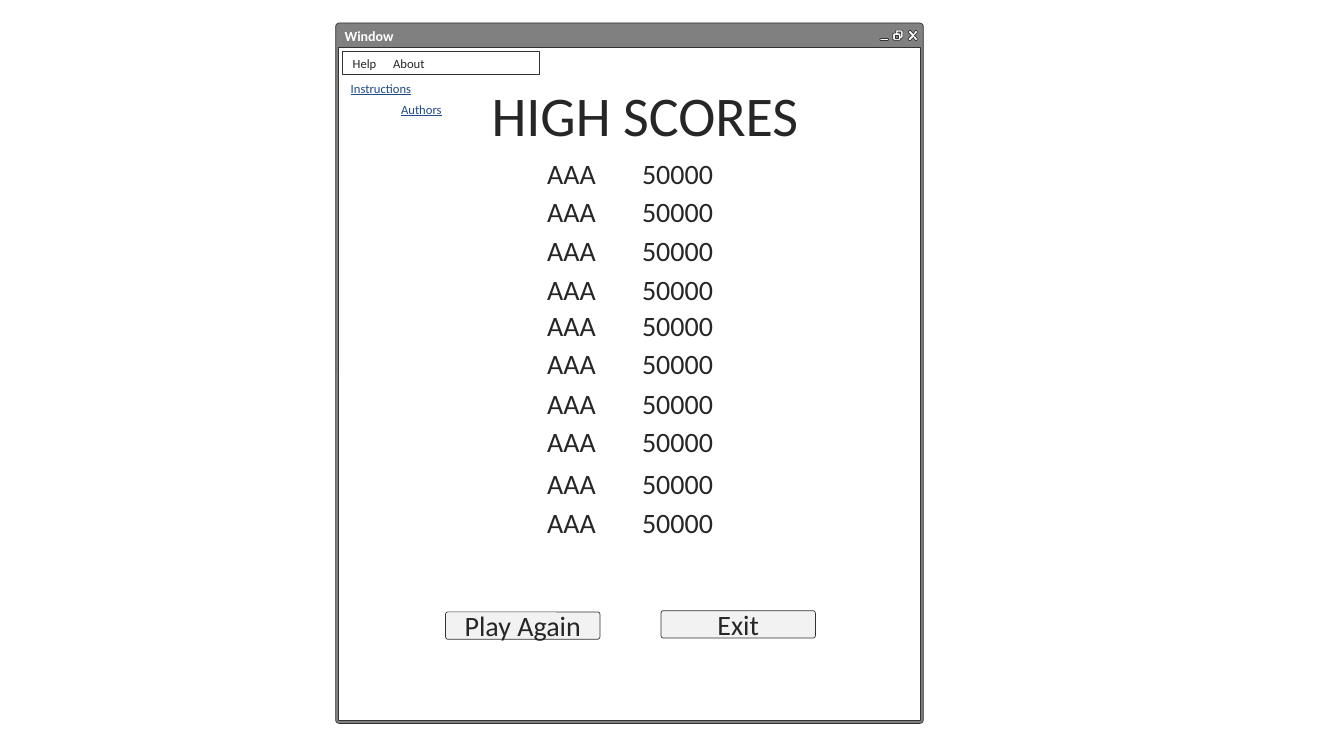
from pptx import Presentation, util as u
from pptx.dml.color import RGBColor
from pptx.enum import shapes, text
from pptx.oxml.ns import qn
from lxml import etree

Cm = u.Cm
KIND, ANCHOR, ALIGN = shapes.MSO_SHAPE, text.MSO_ANCHOR, text.PP_ALIGN

THEME = dict(
    font="Calibri", ink="262626", white="FFFFFF", frame="808080",
    edge="333333", face="F2F2F2", link="204A87",
    title=40, body=20, bar=10, menu=9, line=0.5,
)

# Content; every box is left, top, width, height in cm
TITLE = ("HIGH SCORES", (12.19, 1.93, 8.31, 1.88))
SCORES = [("AAA", "50000")] * 10
PAIRS = [3.84, 5.79, 7.67, 9.63, 11.66]
STEP = 0.97
COLS = [(13.59, 1.7, True), (15.98, 2.21, False)]
BUTTONS = [("Play Again", (11.23, 15.42, 3.89, 0.69)),
           ("Exit", (16.66, 15.39, 3.89, 0.69))]
MENU = ("Help\tAbout", (8.64, 1.3, 4.95, 0.58))
TAB = 1.02
LINKS = [("Instructions", (8.64, 1.93, 1.96, 0.56)),
         ("Authors", (9.91, 2.46, 1.45, 0.56))]
FRAME = ("Window", (8.46, 0.58, 14.81, 17.65))
PANE = (8.53, 1.19, 14.66, 16.97)

# Title bar icons: left and top in cm, then outlines on a fine grid
GRID = 0.0254
ICONS = [
    (22.89, 0.77, [[(0, 1), (0, 2), (3, 5), (0, 8), (0, 9), (1, 10), (2, 10),
                    (5, 7), (7, 10), (8, 10), (9, 9), (9, 8), (6, 5), (9, 2),
                    (9, 1), (8, 0), (7, 0), (5, 3), (2, 0), (1, 0)]]),
    (22.5, 0.76, [[(3, 0), (9, 0), (10, 1), (10, 7), (9, 8), (8, 8), (8, 9),
                   (7, 10), (1, 10), (0, 9), (0, 4), (1, 3), (3, 3), (3, 1)],
                  [(5, 2), (8, 2), (8, 6), (8, 4), (7, 3), (5, 3)],
                  [(3, 5), (6, 5), (6, 8), (3, 8)]]),
    (22.17, 0.97, [[(1, 0), (8, 0), (9, 1), (8, 2), (1, 2), (0, 1)]]),
]


def tint(name):
    """Return a theme colour."""
    return RGBColor.from_string(THEME[name])


def paint(item, fill):
    """Give a shape its fill and the common thin edge."""
    item.shadow.inherit = False
    item.fill.solid()
    item.fill.fore_color.rgb = tint(fill)
    item.line.color.rgb = tint("edge")
    item.line.width = u.Pt(THEME["line"])
    return item


def block(parent, kind, box, fill, adj=None):
    """Add a painted preset shape."""
    item = paint(parent.add_shape(kind, *map(Cm, box)), fill)
    if adj is not None:
        item.adjustments[0] = adj
    return item


def write(item, words, size="body", color="ink", bold=None, under=None,
          align=ALIGN.LEFT, anchor=ANCHOR.TOP, pad=(0.25, 0.13),
          wrap=True, grow=False):
    """Put formatted text into a shape or text box."""
    frame = item.text_frame
    frame.word_wrap = wrap
    frame.vertical_anchor = anchor
    frame.margin_left = frame.margin_right = Cm(pad[0])
    frame.margin_top = frame.margin_bottom = Cm(pad[1])
    if grow:
        frame.auto_size = text.MSO_AUTO_SIZE.SHAPE_TO_FIT_TEXT
    par = frame.paragraphs[0]
    par.alignment = align
    run = par.add_run()
    run.text = words
    font = run.font
    font.name, font.size = THEME["font"], u.Pt(THEME[size])
    font.color.rgb = tint(color)
    font.bold, font.underline = bold, under
    return par


def label(parent, words, box, **form):
    """Add a text box that grows with its text."""
    item = parent.add_textbox(*map(Cm, box))
    write(item, words, pad=(0.2, 0.1), grow=True, **form)


def icon(parent, left, top, loops):
    """Draw a title bar icon from closed outlines."""
    pen = parent.build_freeform(*loops[0][0], scale=Cm(GRID))
    for num, loop in enumerate(loops):
        if num:
            pen.move_to(*loop[0])
        pen.add_line_segments(loop[1:], close=True)
    paint(pen.convert_to_shape(Cm(left), Cm(top)), "white")


def window(parent):
    """Build the window frame as one group."""
    group = parent.add_group_shape().shapes
    words, box = FRAME
    frame = block(group, KIND.ROUNDED_RECTANGLE, box, "frame", 0.006)
    write(frame, words, size="bar", color="white", bold=True,
          pad=(0.2, 0.08))
    block(group, KIND.RECTANGLE, PANE, "white")
    for mark in ICONS:
        icon(group, *mark)


def scores(parent):
    """Set out names and points, two rows to each pair."""
    for num, row in enumerate(SCORES):
        top = PAIRS[num // 2] + num % 2 * STEP
        for words, (left, width, wrap) in zip(row, COLS):
            label(parent, words, (left, top, width, 1.04), wrap=wrap)


def menu(parent):
    """Add the menu bar and its two links."""
    words, box = MENU
    par = write(block(parent, KIND.RECTANGLE, box, "white"), words,
                size="menu", anchor=ANCHOR.MIDDLE)
    tabs = etree.SubElement(par._p.get_or_add_pPr(), qn("a:tabLst"))
    etree.SubElement(tabs, qn("a:tab"), pos=str(Cm(TAB)), algn="l")
    for words, box in LINKS:
        label(parent, words, box, size="menu", color="link", under=True,
              wrap=False)


deck = Presentation()
deck.slide_width, deck.slide_height = Cm(33.87), Cm(19.05)
page = deck.slides.add_slide(deck.slide_layouts[6]).shapes

window(page)
label(page, *TITLE, size="title", anchor=ANCHOR.MIDDLE)
for words, box in BUTTONS:
    write(block(page, KIND.ROUNDED_RECTANGLE, box, "face", 0.088), words,
          align=ALIGN.CENTER, anchor=ANCHOR.MIDDLE)
scores(page)
menu(page)

deck.save("out.pptx")
